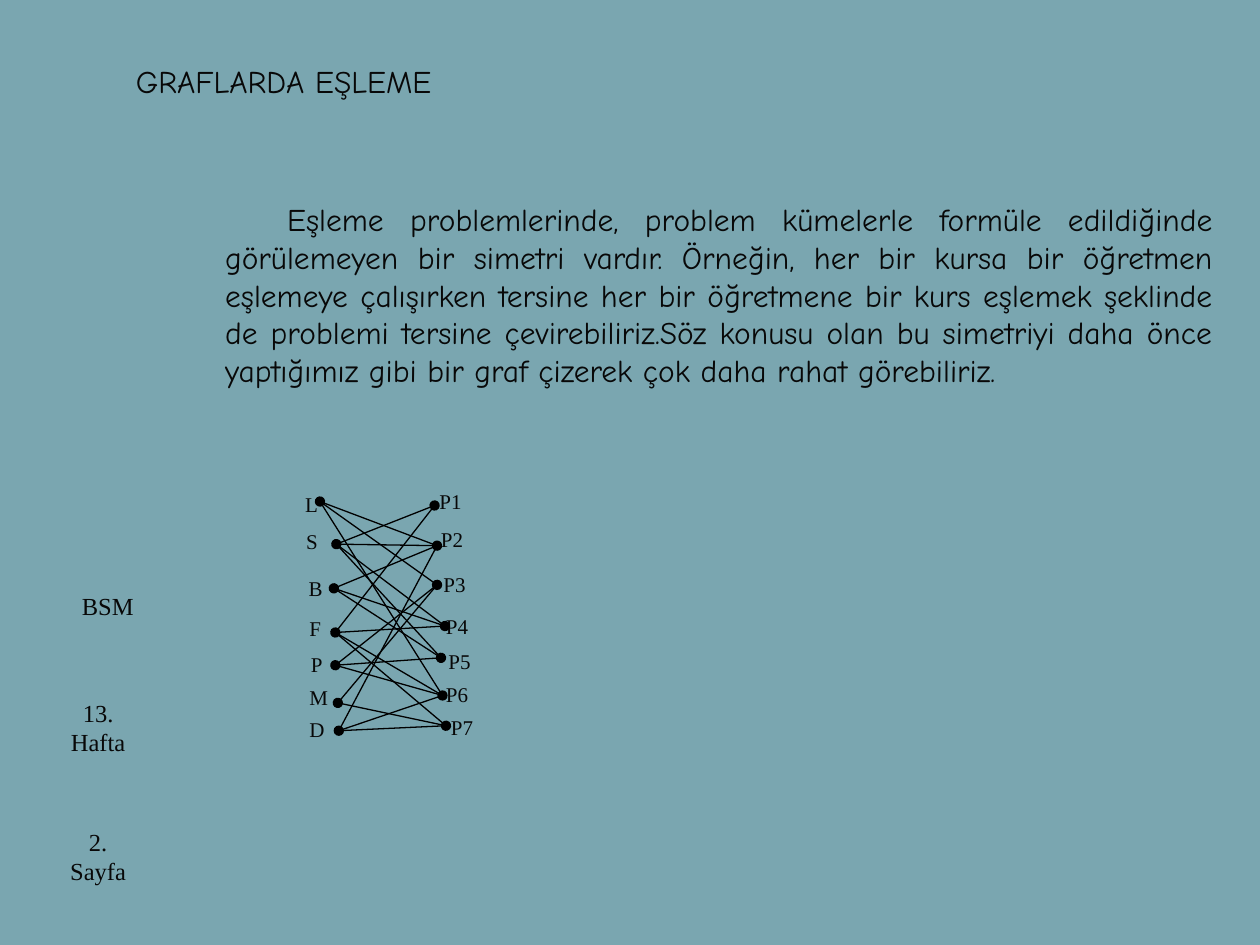
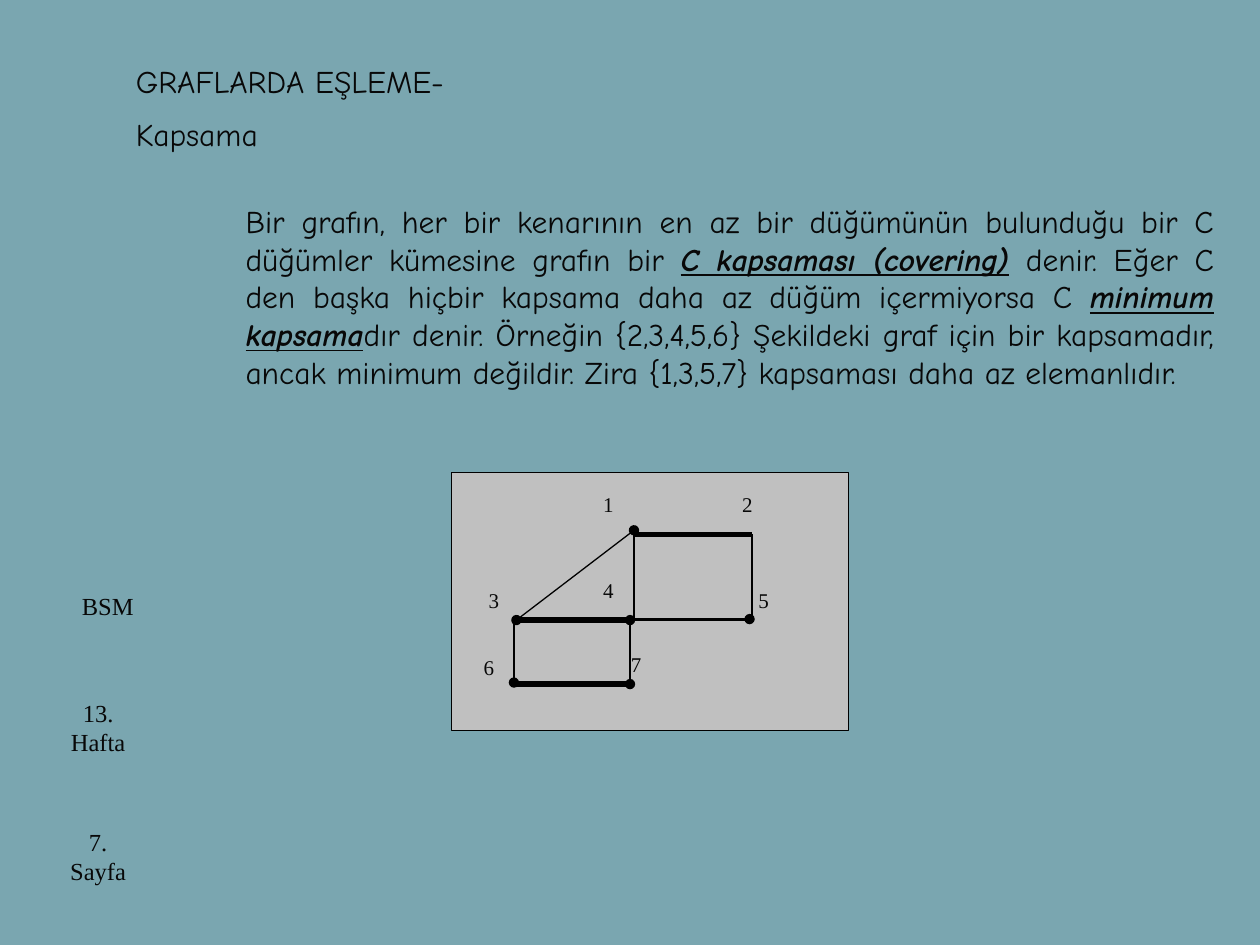
from pptx import Presentation
from pptx.dml.color import RGBColor
from pptx.enum.shapes import MSO_CONNECTOR as Line, MSO_SHAPE as Shape
from pptx.enum.text import MSO_ANCHOR as Anchor, PP_ALIGN as Align
from pptx.oxml.ns import qn
from pptx.util import Cm, Pt
from lxml import etree

COLORS = {"back": "7AA6B0", "text": "080808", "line": "000000", "panel": "C0C0C0"}
SERIF, COMIC = "Times New Roman", "Comic Neue"


def color(name):
    return RGBColor.from_string(COLORS[name])


def add_text(page, box, paragraphs, font=SERIF, size=12, align=Align.LEFT, gap=0):
    """Each paragraph is a list of (text, is_key_term) pairs."""
    frame = page.shapes.add_textbox(*map(Cm, box)).text_frame
    frame.word_wrap = True
    for number, spans in enumerate(paragraphs):
        para = frame.add_paragraph() if number else frame.paragraphs[0]
        para.alignment = align
        if number:
            para.space_before = Pt(gap)
        para.font.name, para.font.size = font, Pt(size)
        para.font.color.rgb = color("text")
        for text, is_key_term in spans:
            span = para.add_run()
            span.text = text
            if is_key_term:
                span.font.bold = span.font.italic = span.font.underline = True
    return frame


def add_label(page, box, text, **style):
    return add_text(page, box, [[(text, False)]], **style)


def add_edge(page, origin, start, end, width=0.75, dots=(False, False)):
    (left, top), (x1, y1), (x2, y2) = origin, start, end
    edge = page.shapes.add_connector(
        Line.STRAIGHT, Cm(left + x1), Cm(top + y1), Cm(left + x2), Cm(top + y2))
    edge.line.color.rgb = color("line")
    edge.line.width = Pt(width)
    outline = edge.line._get_or_add_ln()
    for tag, dotted in zip(("a:headEnd", "a:tailEnd"), dots):
        if dotted:
            etree.SubElement(outline, qn(tag), type="oval")
    etree.SubElement(edge._element.spPr, qn("a:effectLst"))


def add_page(deck, number, title):
    page = deck.slides.add_slide(deck.slide_layouts[6])
    page.background.fill.solid()
    page.background.fill.fore_color.rgb = color("back")
    # Course, week and page number on the left
    add_label(page, (0.99, 13.94, 1.98, 1.78), "13. Hafta", size=14, align=Align.CENTER)
    add_label(page, (0.99, 16.54, 1.98, 1.57), f"{number}. Sayfa", size=14, align=Align.CENTER)
    add_label(page, (1.4, 11.79, 1.57, 0.84), "BSM", size=14)
    # Title
    add_text(page, (2.49, 1.12, 8, 1.08 * len(title)),
             [[(line, False)] for line in title], font=COMIC, size=18, gap=9)
    return page


def add_body(page, box, spans):
    frame = add_text(page, box, [spans], font=COMIC, size=18, align=Align.JUSTIFY)
    frame.vertical_anchor = Anchor.MIDDLE
    return frame


# Nodes of the matching graph: dot position, then label position
COURSES = {
    "L": ((0.55, 0.41), (0, 0.08)), "S": ((0.88, 1.27), (0.02, 0.84)),
    "B": ((0.83, 2.16), (0.07, 1.78)), "F": ((0.86, 3.05), (0.09, 2.59)),
    "P": ((0.86, 3.71), (0.12, 3.3)), "M": ((0.91, 4.47), (0.09, 3.97)),
    "D": ((0.93, 5.03), (0.09, 4.63)),
}
TEACHERS = {
    "P1": ((2.86, 0.49), (2.71, 0.03)), "P2": ((2.91, 1.3), (2.74, 0.79)),
    "P3": ((2.91, 2.09), (2.79, 1.7)), "P4": ((3.07, 2.92), (2.84, 2.54)),
    "P5": ((2.99, 3.56), (2.89, 3.25)), "P6": ((3.02, 4.32), (2.84, 3.91)),
    "P7": ((3.09, 4.93), (2.94, 4.57)),
}
MATCHES = {
    "L": "P2 P3 P6", "S": "P1 P2 P4 P5", "B": "P2 P4 P5", "F": "P1 P4 P6 P7",
    "P": "P3 P5 P6", "M": "P3 P7", "D": "P2 P6 P7",
}


def add_matching_graph(page, origin):
    left, top = origin
    for nodes, width in ((COURSES, 0.86), (TEACHERS, 1.3)):
        for name, (_, (x, y)) in nodes.items():
            add_label(page, (left + x, top + y, width, 0.69), name)
    # Each node gets its dot from the first edge that touches it
    dotted = set()
    for course, teachers in MATCHES.items():
        for teacher in teachers.split():
            dots = (course not in dotted, teacher not in dotted)
            add_edge(page, origin, COURSES[course][0], TEACHERS[teacher][0], dots=dots)
            dotted.update((course, teacher))


def add_covering_graph(page, box):
    left, top, width, height = box
    origin = left, top
    panel = page.shapes.add_shape(Shape.RECTANGLE, *map(Cm, box))
    panel.shadow.inherit = False
    panel.fill.solid()
    panel.fill.fore_color.rgb = color("panel")
    panel.line.color.rgb = color("line")
    panel.line.width = Pt(0.75)

    # Grid the graph is drawn on
    x1, x2, x3 = 1.26, 3.68, 6.06
    y1, y2, y3 = 1.25, 2.98, 4.27
    inner = 3.6

    # Open outline through 1, 4, 5 and 2
    corners = [(Cm(left + x), Cm(top + y)) for x, y in ((x2, y1), (x2, y2), (x3, y2), (x3, y1))]
    builder = page.shapes.build_freeform(*corners[0])
    builder.add_line_segments(corners[1:], close=False)
    outline = builder.convert_to_shape()
    outline.shadow.inherit = False
    outline.fill.background()
    outline.line.color.rgb = color("line")
    outline.line.width = Pt(0.75)

    # Thick matched edges, then thin edges with dots
    for start, end in (((x2, y1), (x3, y1)), ((x1, y3), (x2, y3)), ((x1, y2), (x2, y2))):
        add_edge(page, origin, start, end, width=3)
    for start, end, dots in (
        ((x1, y2), (x1, y3 - 0.03), (False, True)),
        ((inner, y2), (inner, y3), (True, True)),
        ((x1 + 0.05, y2), (x2, y1 - 0.08), (True, True)),
        ((inner, y2 - 0.02), (x3 - 0.05, y2 - 0.02), (False, True)),
    ):
        add_edge(page, origin, start, end, dots=dots)

    places = ((2.81, 0.26), (5.61, 0.26), (0.5, 2.19), (2.81, 1.99),
              (5.94, 2.19), (0.4, 3.56), (3.37, 3.48))
    for number, (x, y) in enumerate(places, start=1):
        add_label(page, (left + x, top + y, 1.19, 1.3), str(number))


def add_matching_page(deck):
    page = add_page(deck, 2, ["GRAFLARDA EŞLEME"])
    frame = add_body(page, (4.29, 3.53, 20.4, 5.59), [(
        "Eşleme problemlerinde, problem kümelerle formüle edildiğinde görülemeyen bir "
        "simetri vardır. Örneğin, her bir kursa bir öğretmen eşlemeye çalışırken tersine "
        "her bir öğretmene bir kurs eşlemek şeklinde de problemi tersine çevirebiliriz."
        "Söz konusu olan bu simetriyi daha önce yaptığımız gibi bir graf çizerek çok daha "
        "rahat görebiliriz.", False)])
    frame.margin_bottom = Cm(0.9)
    frame.paragraphs[0]._p.get_or_add_pPr().set("indent", str(Cm(1.25)))
    add_matching_graph(page, (5.9, 9.7))


def add_covering_page(deck):
    page = add_page(deck, 7, ["GRAFLARDA EŞLEME-", "Kapsama"])
    add_body(page, (4.7, 3.56, 20.02, 4.83), [
        ("Bir grafın, her bir kenarının en az bir düğümünün bulunduğu bir C düğümler "
         "kümesine grafın bir ", False),
        ("C kapsaması (covering)", True),
        (" denir. Eğer C den başka hiçbir kapsama daha az düğüm içermiyorsa C ", False),
        ("minimum kapsama", True),
        ("dır denir. Örneğin {2,3,4,5,6} Şekildeki graf için bir kapsamadır, ancak minimum "
         "değildir. Zira {1,3,5,7} kapsaması daha az elemanlıdır.", False),
    ])
    add_covering_graph(page, (9.1, 9.52, 8, 5.21))


def main():
    deck = Presentation()
    deck.slide_width, deck.slide_height = Cm(25.4), Cm(19.05)
    add_matching_page(deck)
    add_covering_page(deck)
    deck.save("out.pptx")


if __name__ == "__main__":
    main()
